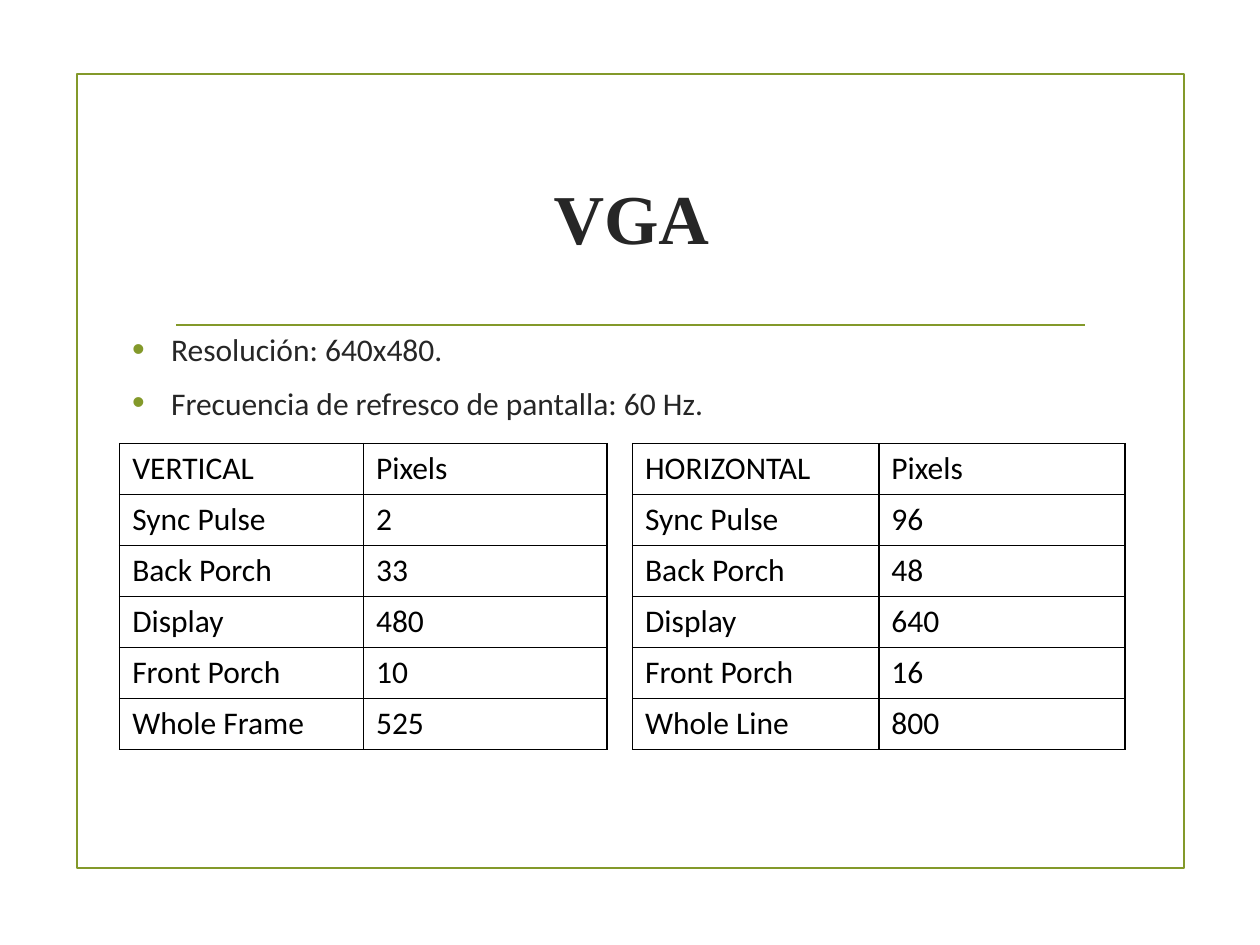
from lxml.etree import SubElement
from pptx import Presentation
from pptx.dml.color import RGBColor
from pptx.enum.shapes import MSO_CONNECTOR, MSO_SHAPE
from pptx.enum.text import MSO_ANCHOR, PP_ALIGN
from pptx.oxml import parse_xml
from pptx.oxml.ns import nsdecls, qn
from pptx.util import Inches, Pt

GREEN = RGBColor(0x83, 0x99, 0x2A)
DARK = RGBColor(0x26, 0x26, 0x26)
BLACK = RGBColor(0, 0, 0)

TITLE = "VGA"
BULLETS = ["Resolución: 640x480.", "Frecuencia de refresco de pantalla: 60 Hz."]
TABLES = [
    {"left": 0.95, "width": 3.87, "rows": [
        ("VERTICAL", "Pixels"), ("Sync Pulse", "2"), ("Back Porch", "33"),
        ("Display", "480"), ("Front Porch", "10"), ("Whole Frame", "525")]},
    {"left": 5.02, "width": 3.91, "rows": [
        ("HORIZONTAL", "Pixels"), ("Sync Pulse", "96"), ("Back Porch", "48"),
        ("Display", "640"), ("Front Porch", "16"), ("Whole Line", "800")]},
]
TABLE_TOP, TABLE_HEIGHT = 3.52, 2.43


def set_font(paragraph, size, name, color, bold=False):
    font = paragraph.font
    font.size, font.name, font.bold = Pt(size), name, bold
    font.color.rgb = color


def add_text_box(slide, left, top, width, height):
    box = slide.shapes.add_textbox(Inches(left), Inches(top), Inches(width), Inches(height))
    box.text_frame.word_wrap = True
    return box.text_frame


def add_bullet(paragraph):
    properties = paragraph._p.get_or_add_pPr()
    properties.set("marL", str(Inches(0.31)))
    properties.set("indent", str(Inches(-0.31)))
    color = SubElement(properties, qn("a:buClr"))
    SubElement(color, qn("a:srgbClr"), val=str(GREEN))
    SubElement(properties, qn("a:buSzPct"), val="115000")
    SubElement(properties, qn("a:buFont"), typeface="Arial")
    SubElement(properties, qn("a:buChar"), char="•")


def add_borders(cell):
    properties = cell._tc.get_or_add_tcPr()
    for index, side in enumerate(("lnL", "lnR", "lnT", "lnB")):
        properties.insert(index, parse_xml(
            f'<a:{side} {nsdecls("a")} w="{Pt(1)}"><a:solidFill>'
            f'<a:srgbClr val="{BLACK}"/></a:solidFill></a:{side}>'))


def add_timing_table(slide, left, width, rows):
    columns = len(rows[0])
    table = slide.shapes.add_table(
        len(rows), columns, Inches(left), Inches(TABLE_TOP),
        Inches(width), Inches(TABLE_HEIGHT)).table
    table.first_row = table.horz_banding = False
    for row, values in enumerate(rows):
        for column, value in enumerate(values):
            cell = table.cell(row, column)
            cell.text = value
            cell.fill.background()
            add_borders(cell)
            set_font(cell.text_frame.paragraphs[0], 18, "Calibri", BLACK)


def main():
    presentation = Presentation()
    presentation.slide_width, presentation.slide_height = Inches(10), Inches(7.5)
    slide = presentation.slides.add_slide(presentation.slide_layouts[6])

    frame = slide.shapes.add_shape(
        MSO_SHAPE.RECTANGLE, Inches(0.61), Inches(0.59), Inches(8.79), Inches(6.3))
    frame.shadow.inherit = False
    frame.fill.background()
    rule = slide.shapes.add_connector(
        MSO_CONNECTOR.STRAIGHT, Inches(1.4), Inches(2.58), Inches(8.61), Inches(2.58))
    SubElement(rule._element.spPr, qn("a:effectLst"))
    for shape in (frame, rule):
        shape.line.color.rgb = GREEN
        shape.line.width = Pt(1.25)

    title = add_text_box(slide, 1.29, 1, 7.44, 1.43)
    title.vertical_anchor = MSO_ANCHOR.MIDDLE
    title.text = TITLE
    title.paragraphs[0].alignment = PP_ALIGN.CENTER
    set_font(title.paragraphs[0], 40, "Times New Roman", DARK, bold=True)

    body = add_text_box(slide, 0.95, 2.57, 8, 0.9)
    body.text = "\n".join(BULLETS)
    for index, paragraph in enumerate(body.paragraphs):
        add_bullet(paragraph)
        paragraph.space_before = Pt(3 if index else 0)
        paragraph.space_after = Pt(6)
        set_font(paragraph, 18, "Calibri", DARK)

    for table in TABLES:
        add_timing_table(slide, **table)

    presentation.save("out.pptx")


if __name__ == "__main__":
    main()
